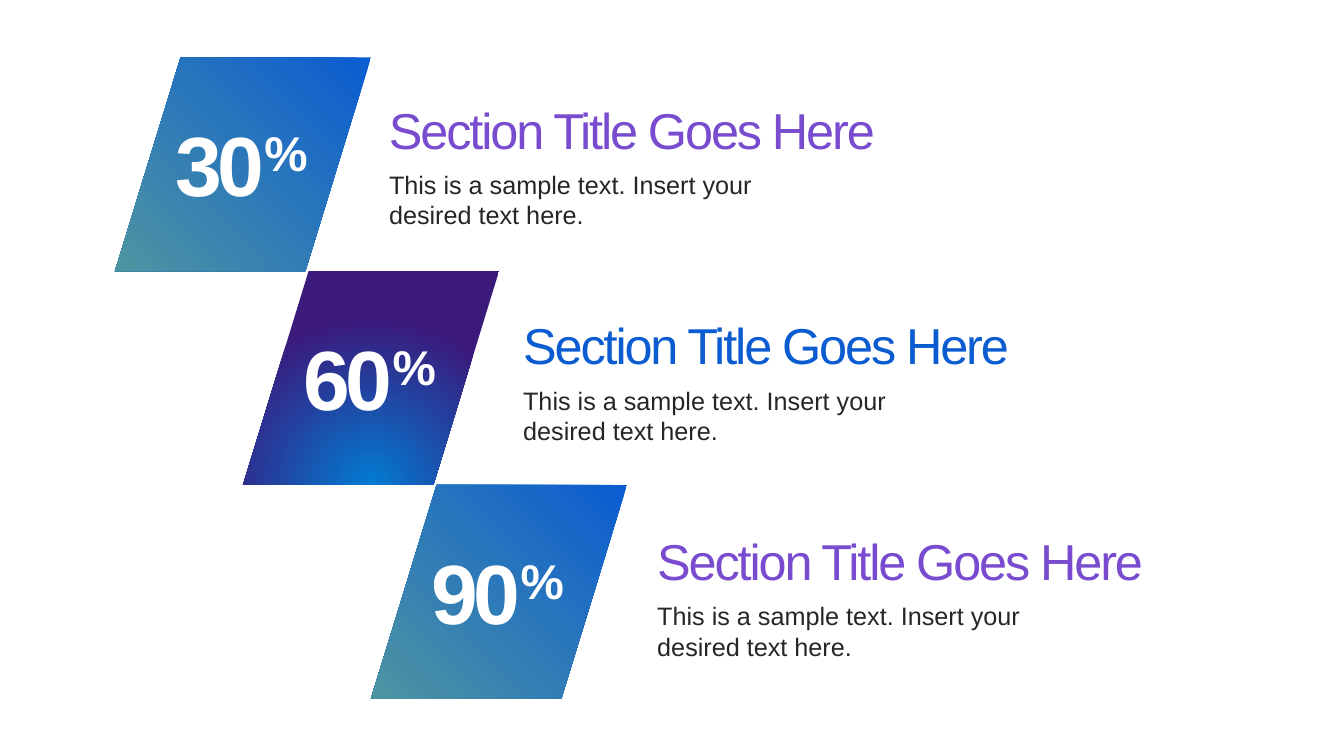
import pptx
import pptx.util
import pptx.dml.color
import pptx.enum.shapes
import pptx.enum.text
import pptx.oxml
import pptx.oxml.ns

PX = 9144  # 100 px to the inch
TEAL = ("4D94A1", "0B5CD1"), dict(l=0, t=100, r=100, b=0)
NIGHT = ("027BD1", "3B1A7C"), dict(l=50, t=130, r=50, b=-30)
PURPLE, BLUE = "794CCF", "0B5CD1"
FIT = pptx.enum.text.MSO_AUTO_SIZE.SHAPE_TO_FIT_TEXT
MIDDLE = pptx.enum.text.MSO_ANCHOR.MIDDLE
TOP = pptx.enum.text.MSO_ANCHOR.TOP

deck = pptx.Presentation()
deck.slide_width, deck.slide_height = 1333 * PX, 750 * PX
slide = deck.slides.add_slide(deck.slide_layouts[6])


def color(code):
    return pptx.dml.color.RGBColor.from_string(code)


def write(text, box, size, ink, bold=False, gap=0, wrap=True, fit=True,
          anchor=TOP, raised=""):
    """Add a text box; gap is letter spacing in points, raised a superscript."""
    frame = slide.shapes.add_textbox(*[n * PX for n in box]).text_frame
    frame.word_wrap = wrap
    frame.vertical_anchor = anchor
    if fit:
        frame.auto_size = FIT
    for part, lift in ((text, 0), (raised, 30)):
        if not part:
            continue
        run = frame.paragraphs[0].add_run()
        run.text = part
        run.font.name = "Arial"
        run.font.size = pptx.util.Pt(size)
        run.font.bold = bold
        run.font.color.rgb = color(ink)
        props = run.font._element
        if gap:
            props.set("spc", str(int(gap * 100)))
        if lift:
            props.set("baseline", str(lift * 1000))


steps = [("30", TEAL, PURPLE), ("60", NIGHT, BLUE), ("90", TEAL, PURPLE)]

for i, (share, (stops, focus), ink) in enumerate(steps):
    tile = slide.shapes.add_shape(
        pptx.enum.shapes.MSO_SHAPE.PARALLELOGRAM,
        (114 + 127 * i) * PX, (57 + 212 * i) * PX, 254 * PX, 212 * PX)
    tile.adjustments[0] = 0.307
    tile.shadow.inherit = False
    tile.line.fill.background()
    tile.fill.gradient()
    for stop, code in zip(tile.fill.gradient_stops, stops):
        stop.color.rgb = color(code)
    # Turn the linear gradient into a radial one
    grad = tile._element.spPr.find(pptx.oxml.ns.qn("a:gradFill"))
    line = grad.find(pptx.oxml.ns.qn("a:lin"))
    edges = " ".join(f'{side}="{n * 1000}"' for side, n in focus.items())
    grad.replace(line, pptx.oxml.parse_xml(
        f'<a:path {pptx.oxml.ns.nsdecls("a")} path="circle">'
        f'<a:fillToRect {edges}/></a:path>'))

for i, (share, fill, ink) in enumerate(steps):
    left, top = 376 + 133 * i, 83 + 214 * i
    write("Section Title Goes Here", (left, top, 603, 90), 36, ink,
          gap=-1.5, fit=False, anchor=MIDDLE)
    write("This is a sample text. Insert your desired text here.",
          (left, top + 80, 445, 71), 18, "262626")
    write(share, (164 + 127 * i, 107 + 212 * i, 153, 111), 60, "FFFFFF",
          bold=True, gap=-3, wrap=False, raised="%")

deck.save("out.pptx")
